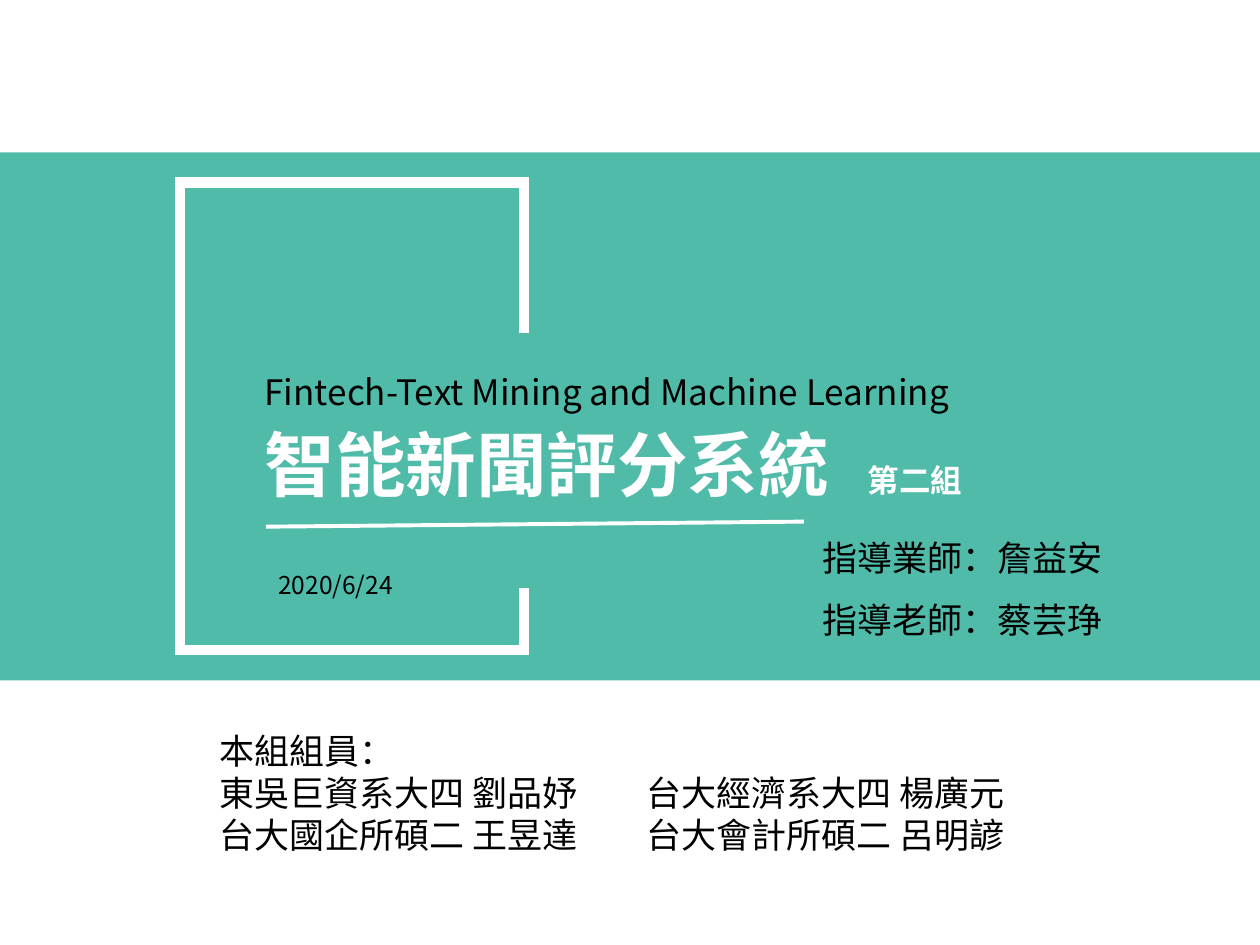
from lxml import etree
from pptx import Presentation
from pptx.dml.color import RGBColor
from pptx.enum.shapes import MSO_CONNECTOR, MSO_SHAPE
from pptx.enum.text import MSO_ANCHOR, MSO_AUTO_SIZE, PP_ALIGN
from pptx.oxml.ns import qn
from pptx.util import Inches, Pt

STRAIGHT = MSO_CONNECTOR.STRAIGHT
RECTANGLE = MSO_SHAPE.RECTANGLE
TOP, MIDDLE = MSO_ANCHOR.TOP, MSO_ANCHOR.MIDDLE
NO_AUTOFIT = MSO_AUTO_SIZE.NONE
LEFT = PP_ALIGN.LEFT

TEAL, WHITE, BLACK = "51BBA9", "FFFFFF", "000000"
FONT_TC, FONT_SC = "Noto Sans CJK TC", "Noto Sans CJK SC"


def color(hex_string):
    return RGBColor.from_string(hex_string)


def place(shape, left, top, width, height):
    shape.left, shape.top = Inches(left), Inches(top)
    shape.width, shape.height = Inches(width), Inches(height)


def format_paragraph(paragraph, size, ink=BLACK, bold=False, face=FONT_TC):
    paragraph.alignment = LEFT
    for run in paragraph.runs:
        run.font.size = Pt(size)
        run.font.bold = bold
        run.font.color.rgb = color(ink)
        run.font.name = face
        # Chinese characters take the East Asian typeface
        east_asian = etree.SubElement(run.font._element, qn("a:ea"))
        east_asian.set("typeface", face)


def add_text(slide, box, text, size=20, ink=BLACK, bold=False, wrap=True, anchor=TOP):
    frame = slide.shapes.add_textbox(*map(Inches, box)).text_frame
    frame.word_wrap = wrap
    frame.vertical_anchor = anchor
    frame.text = text
    for paragraph in frame.paragraphs:
        format_paragraph(paragraph, size, ink, bold)


def add_band(slide, box):
    band = slide.shapes.add_shape(RECTANGLE, *map(Inches, box))
    band.shadow.inherit = False
    band.fill.solid()
    band.fill.fore_color.rgb = color(TEAL)
    band.line.fill.background()


def add_open_frame(slide, left, top, width, height):
    """White frame whose right side has a gap."""
    right, bottom = left + width, top + height
    gap_top, gap_bottom = top + 1.19, bottom - 0.49
    corners = [(right, top), (left, top), (left, bottom),
               (right, bottom), (right, gap_bottom)]
    builder = slide.shapes.build_freeform(Inches(right), Inches(gap_top))
    builder.add_line_segments([(Inches(x), Inches(y)) for x, y in corners], close=False)
    frame = builder.convert_to_shape()
    frame.shadow.inherit = False
    frame.fill.background()
    frame.line.color.rgb = color(WHITE)
    frame.line.width = Pt(6)
    # Square corners
    etree.SubElement(frame.line._ln, qn("a:miter")).set("lim", "800000")


def add_title(slide, box):
    title = slide.shapes.title
    place(title, *box)
    frame = title.text_frame
    frame.text = "Fintech-Text Mining and Machine Learning\n智能新聞評分系統"
    frame.word_wrap = True
    frame.auto_size = NO_AUTOFIT
    frame.vertical_anchor = TOP
    subject, system_name = frame.paragraphs
    format_paragraph(subject, 20)
    format_paragraph(system_name, 40.3, WHITE, True, FONT_SC)
    for paragraph in frame.paragraphs:
        paragraph.line_spacing = 1.1


def add_underline(slide, start, end):
    underline = slide.shapes.add_connector(STRAIGHT, *map(Inches, start + end))
    underline.line.color.rgb = color(WHITE)
    underline.line.width = Pt(2.25)
    etree.SubElement(underline._element.spPr, qn("a:effectLst"))


def add_advisors(slide, left, top):
    for row, advisor in enumerate(("指導業師：詹益安", "指導老師：蔡芸琤")):
        add_text(slide, (left, top + row * 0.49, 2.45, 0.44), advisor, wrap=False)


def add_members(slide, left, top):
    add_text(slide, (left, top, 3.08, 1.11),
             "本組組員：\n東吳巨資系大四 劉品妤\n台大國企所碩二 王昱達", wrap=False)
    # Second column starts one line lower, beside the first member
    add_text(slide, (left + 3.39, top + 0.33, 5, 0.77),
             "台大經濟系大四 楊廣元\n台大會計所碩二 呂明諺")


def build_cover(presentation):
    slide = presentation.slides.add_slide(presentation.slide_layouts[5])
    # Background band and frame
    add_band(slide, (0, 1.21, 10, 4.19))
    add_open_frame(slide, 1.43, 1.45, 2.73, 3.71)
    # Title, group and date
    add_title(slide, (2, 2.86, 6.57, 1.17))
    add_underline(slide, (2.11, 4.18), (6.38, 4.14))
    add_text(slide, (6.79, 3.61, 1.01, 0.4), "第二組", 18, WHITE, bold=True)
    add_text(slide, (2.11, 4.44, 2.25, 0.4), "2020/6/24", 14, anchor=MIDDLE)
    # People
    add_advisors(slide, 6.43, 4.21)
    add_members(slide, 1.64, 5.74)
    # The title sits in front of the band
    slide.shapes._spTree.append(slide.shapes.title._element)


def main():
    presentation = Presentation()
    presentation.slide_width, presentation.slide_height = Inches(10), Inches(7.5)
    build_cover(presentation)
    presentation.save("out.pptx")


if __name__ == "__main__":
    main()
